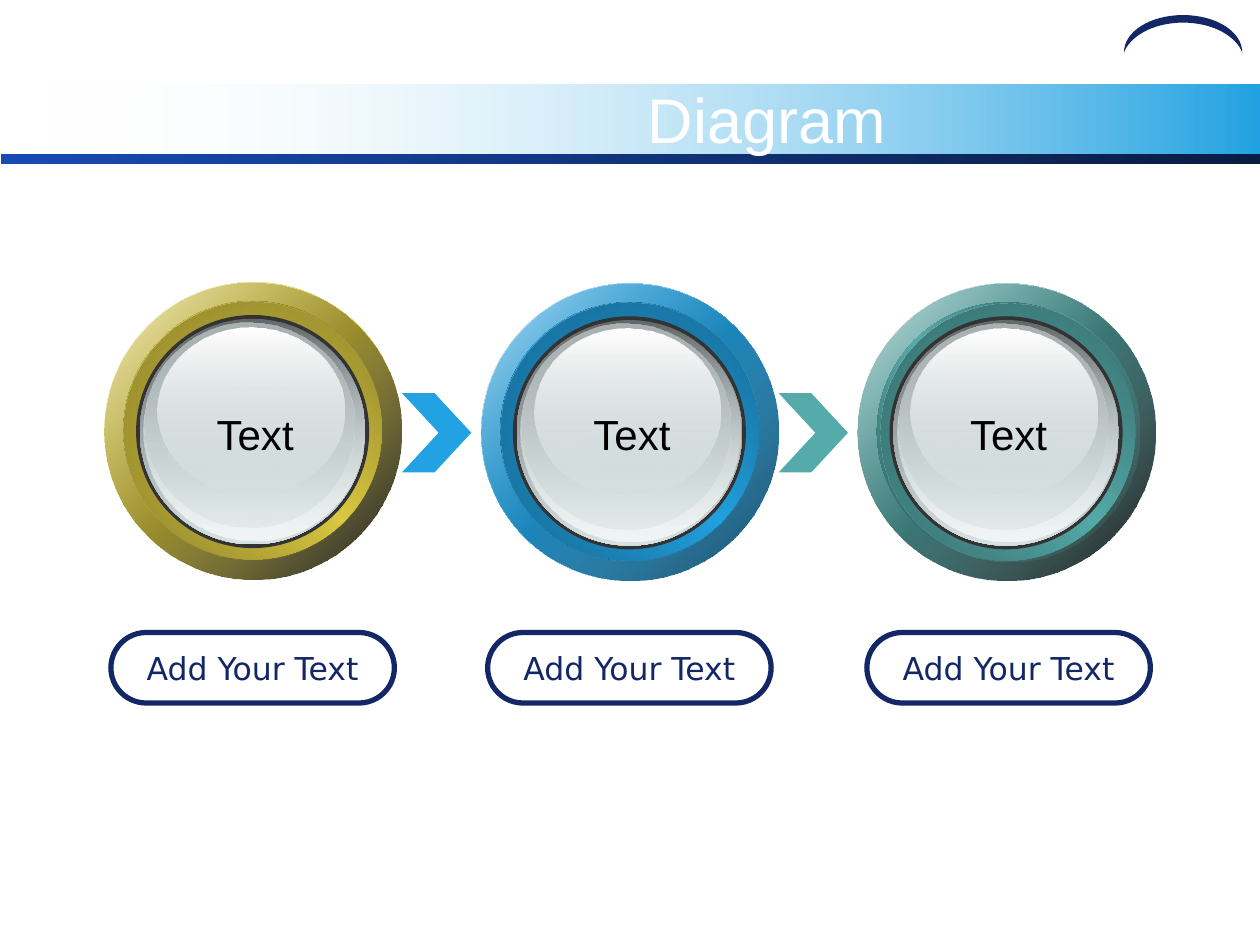
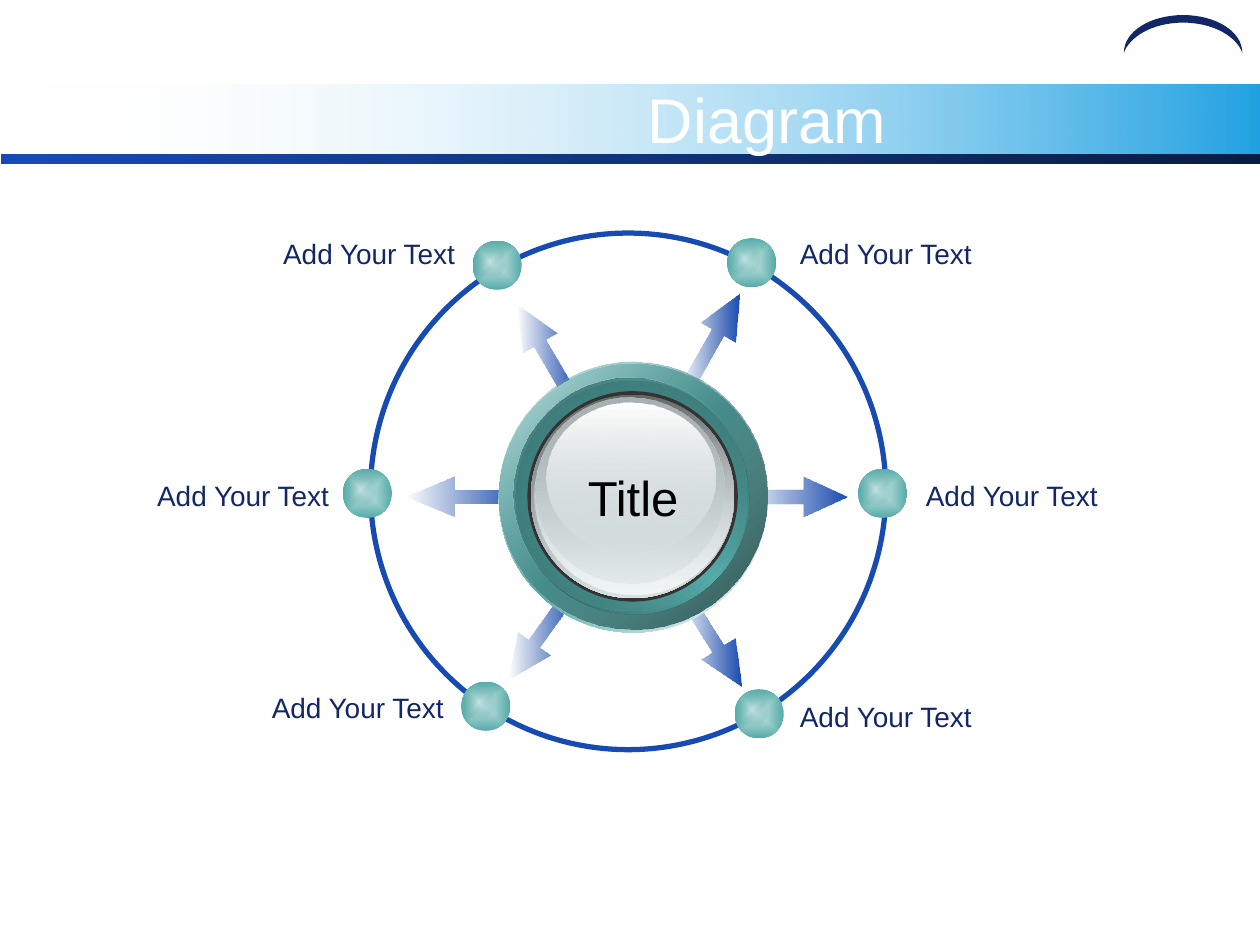
from lxml import etree
from pptx import Presentation
from pptx import util as u
from pptx.dml.color import RGBColor
from pptx.enum import shapes, text
from pptx.oxml.ns import qn

# ---------- Shared style ----------
COLORS = {
    "white": "FFFFFF", "black": "000000", "navy": "132767", "sky": "22A2E2",
    "royal": "184BB2", "midnight": "091D44", "arrow": "15439E", "teal": "55ABA9",
    "mint": "C6E3E2", "gold": "DCCA42", "charcoal": "333333", "steel": "636869",
    "mist": "D6E1E2", "frost": "F1F5F5", "ash": "AAB2B3", "sky_shade": "104B69",
    "teal_shade": "274F4E",
}
BEVELS = {  # ring colour: (bevel edge, sheen start)
    "gold": ("776D24", "8C802A"),
    "sky": ("12587A", "166790"),
    "teal": ("2E5D5B", "366D6B"),
}
OVAL = shapes.MSO_SHAPE.OVAL
ALIGN = {"left": text.PP_ALIGN.LEFT, "center": text.PP_ALIGN.CENTER,
         "right": text.PP_ALIGN.RIGHT}

# ---------- Content ----------
TITLE = "Diagram"
STEP_TOP, STEP_SIZE = 2.25, 2.36
STEPS = [
    {"left": 0.83, "top": 2.24, "ring": "gold", "shade": ("black", 90), "shifts": {},
     "text": "Text", "caption": "Add Your Text", "caption_left": 0.88},
    {"left": 3.82, "top": 2.25, "ring": "sky", "shade": ("sky_shade", 100), "shifts": {},
     "text": "Text", "caption": "Add Your Text", "caption_left": 3.87},
    {"left": 6.81, "top": 2.25, "ring": "teal", "shade": ("black", 90),
     "shifts": {"sheen": (0.03, 0.01)},
     "text": "Text", "caption": "Add Your Text", "caption_left": 6.88},
]
CHEVRONS = [(3.19, "sky"), (6.18, "teal")]

HUB = {"left": 3.96, "top": 2.87, "ring": "teal", "shade": ("teal_shade", 100),
       "shifts": {"rim": (0, 0.02), "bevel": (0, 0.02), "sheen": (-0.02, -0.01)}}
HUB_SIZE, HUB_TEXT = 2.13, "Title"
SPOKES = [  # arrow left, top, width, rotation, gradient angle
    (5.22, 2.55, 0.87, 299.6, 60), (5.22, 4.92, 0.87, 57.8, 302),
    (3.89, 2.63, 0.87, 239.5, 120), (3.85, 4.88, 0.87, 125.6, 234),
    (5.86, 3.78, 0.87, 0, 0), (3.22, 3.78, 0.94, 180, 180),
]
NODES = [  # node left, top, label, label left, top, alignment
    (3.75, 1.91, "Add Your Text", 2.10, 1.83, "right"),
    (2.72, 3.72, "Add Your Text", 1.10, 3.75, "right"),
    (3.66, 5.41, "Add Your Text", 2.01, 5.43, "right"),
    (5.77, 1.89, "Add Your Text", 6.25, 1.83, "left"),
    (6.81, 3.72, "Add Your Text", 7.25, 3.75, "left"),
    (5.83, 5.47, "Add Your Text", 6.25, 5.50, "left"),
]

# Glass face: offset x, y, width, height, gradient stops
GLASS = [
    (0.28, 0.29, 1.79, 1.79, [(0, "steel", 100), (100, "mist", 100)]),
    (0.31, 0.30, 1.75, 1.75, [(0, "mist", 0), (100, "frost", 100)]),
    (0.32, 0.32, 1.66, 1.63, [(0, "ash", 100), (100, "mist", 48)]),
    (0.42, 0.36, 1.48, 1.32, [(0, "white", 100), (100, "mist", 38)]),
]


# ---------- Drawing helpers ----------
def rgb(color):
    return RGBColor.from_string(COLORS.get(color, color))


def gradient(shape, stops, angle=None):
    """Linear gradient at an angle, or one spreading from the centre without it."""
    fill = etree.Element(qn("a:gradFill"), rotWithShape="1")
    stop_list = etree.SubElement(fill, qn("a:gsLst"))
    for place, color, opacity in stops:
        stop = etree.SubElement(stop_list, qn("a:gs"), pos=str(place * 1000))
        value = etree.SubElement(stop, qn("a:srgbClr"), val=COLORS.get(color, color))
        if opacity < 100:
            etree.SubElement(value, qn("a:alpha"), val=str(opacity * 1000))
    if angle is None:
        route = etree.SubElement(fill, qn("a:path"), path="rect")
        etree.SubElement(route, qn("a:fillToRect"), l="50000", t="50000",
                         r="50000", b="50000")
    else:
        etree.SubElement(fill, qn("a:lin"), ang=str(angle * 60000), scaled="0")
    shape.fill.background()
    blank = shape.element.spPr.find(qn("a:noFill"))
    blank.getparent().replace(blank, fill)


def draw(slide, kind, left, top, width, height, color=None, stops=None, angle=None,
         outline=None):
    shape = slide.shapes.add_shape(kind, u.Inches(left), u.Inches(top),
                                   u.Inches(width), u.Inches(height))
    shape.shadow.inherit = False
    if stops:
        gradient(shape, stops, angle)
    elif color:
        shape.fill.solid()
        shape.fill.fore_color.rgb = rgb(color)
    else:
        shape.fill.background()
    if outline:
        shape.line.color.rgb = rgb(outline)
        shape.line.width = u.Pt(3)
    else:
        shape.line.fill.background()
    return shape


def write(shape, words, size, color, font="Arial", align="center"):
    shape.text_frame.text = words
    para = shape.text_frame.paragraphs[0]
    para.alignment = ALIGN[align]
    span = para.runs[0]
    span.font.size = u.Pt(size)
    span.font.name = font
    span.font.bold = False
    span.font.color.rgb = rgb(color)


def label(slide, words, left, top, width, height, size, color, align="center"):
    box = slide.shapes.add_textbox(u.Inches(left), u.Inches(top),
                                   u.Inches(width), u.Inches(height))
    box.text_frame.word_wrap = False
    write(box, words, size, color, align=align)


def medallion(slide, size, left, top, ring, shade, shifts):
    """Coloured ring around a glass face, scaled from the step size."""
    scale = size / STEP_SIZE
    edge, sheen = BEVELS[ring]

    def disc(x, y, width, height, part=None, **style):
        dx, dy = shifts.get(part, (0, 0))
        draw(slide, OVAL, left + x * scale + dx, top + y * scale + dy,
             width * scale, height * scale, **style)

    disc(0, 0, 2.36, 2.36, "rim", angle=45,
         stops=[(0, "white", 100), (50, ring, 100), (100, "white", 100)])
    disc(0, 0, 2.36, 2.36, angle=45, stops=[(0, ring, 32), (100, *shade)])
    disc(0.15, 0.15, 2.05, 2.05, "bevel", angle=315,
         stops=[(0, edge, 100), (50, ring, 100), (100, edge, 100)])
    disc(0.15, 0.15, 2.05, 2.05, "sheen", angle=45,
         stops=[(0, sheen, 100), (100, ring, 0)])
    disc(0.25, 0.26, 1.85, 1.85, color="charcoal")
    for x, y, width, height, stops in GLASS:
        disc(x, y, width, height, stops=stops, angle=90)


def curve(points, steps=16):
    """Points along a cubic curve."""
    for step in range(steps + 1):
        t = step / steps
        weights = ((1 - t) ** 3, 3 * t * (1 - t) ** 2, 3 * t * t * (1 - t), t ** 3)
        yield tuple(sum(w * p[axis] for w, p in zip(weights, points)) for axis in (0, 1))


def crescent(slide):
    middle = 9.39
    inner = list(curve([(9.86, 0.42), (9.82, 0.30), (9.64, 0.18), (middle, 0.18)]))
    outer = list(curve([(middle, 0.12), (9.65, 0.12), (9.86, 0.25), (9.86, 0.42)]))

    def mirror(points):
        return [(2 * middle - x, y) for x, y in reversed(points)]

    outline = [(u.Inches(x), u.Inches(y))
               for x, y in inner + mirror(inner) + mirror(outer) + outer]
    builder = slide.shapes.build_freeform(*outline[0])
    builder.add_line_segments(outline[1:], close=True)
    shape = builder.convert_to_shape()
    shape.shadow.inherit = False
    shape.fill.solid()
    shape.fill.fore_color.rgb = rgb("navy")
    shape.line.fill.background()


def new_slide(deck):
    slide = deck.slides.add_slide(deck.slide_layouts[5])
    rectangle = shapes.MSO_SHAPE.RECTANGLE
    draw(slide, rectangle, 0.33, 0.67, 9.67, 0.58, angle=0,
         stops=[(0, "white", 0), (100, "sky", 100)])
    draw(slide, rectangle, 0.01, 1.22, 9.99, 0.08, angle=0,
         stops=[(0, "royal", 100), (100, "midnight", 100)])
    crescent(slide)
    # Title in front of the band
    title = slide.shapes.title
    title.element.getparent().append(title.element)
    title.left, title.top = u.Inches(2.67), u.Inches(0.67)
    title.width, title.height = u.Inches(6.83), u.Inches(0.53)
    write(title, TITLE, 36, "white")
    title.text_frame.vertical_anchor = text.MSO_ANCHOR.MIDDLE
    title.text_frame.auto_size = text.MSO_AUTO_SIZE.NONE
    return slide


# ---------- Slides ----------
def process_slide(deck):
    slide = new_slide(deck)
    for left, color in CHEVRONS:
        chevron = draw(slide, shapes.MSO_SHAPE.CHEVRON, left, 3.12, 0.55, 0.63, color)
        chevron.adjustments[0] = 0.53
    for step in STEPS:
        medallion(slide, STEP_SIZE, step["left"], step["top"], step["ring"],
                  step["shade"], step["shifts"])
        pill = draw(slide, shapes.MSO_SHAPE.ROUNDED_RECTANGLE, step["caption_left"],
                    5.02, 2.25, 0.56, outline="navy")
        pill.adjustments[0] = 0.5
        pill.text_frame.word_wrap = False
        pill.text_frame.vertical_anchor = text.MSO_ANCHOR.MIDDLE
        write(pill, step["caption"], 18, "navy", "DejaVu Sans")
        label(slide, step["text"], step["left"] + 0.77, 3.19, 0.85, 0.5, 24, "black")


def hub_slide(deck):
    slide = new_slide(deck)
    # Arrows from the hub
    for left, top, width, rotation, angle in SPOKES:
        arrow = draw(slide, shapes.MSO_SHAPE.RIGHT_ARROW, left, top, width, 0.32,
                     stops=[(0, "arrow", 0), (100, "royal", 100)], angle=angle)
        arrow.rotation = rotation
        arrow.adjustments[0] = 0.35
        arrow.adjustments[1] = 1.21 if width > 0.9 else 1.11
    # Orbit with its nodes
    draw(slide, OVAL, 2.94, 1.85, 4.09, 4.1, outline="royal")
    for left, top, words, label_left, label_top, align in NODES:
        draw(slide, OVAL, left, top, 0.39, 0.39,
             stops=[(0, "mint", 100), (100, "teal", 100)])
        draw(slide, OVAL, left + 0.02, top + 0.04, 0.24, 0.25,
             stops=[(0, "mint", 100), (100, "teal", 0)])
        label(slide, words, label_left, label_top, 1.61, 0.37, 16, "navy", align)
    # Hub
    medallion(slide, HUB_SIZE, **HUB)
    label(slide, HUB_TEXT, 4.56, 3.66, 0.93, 0.57, 28, "black")


def main():
    deck = Presentation()
    deck.slide_width, deck.slide_height = u.Inches(10), u.Inches(7.5)
    process_slide(deck)
    hub_slide(deck)
    deck.save("out.pptx")


if __name__ == "__main__":
    main()
